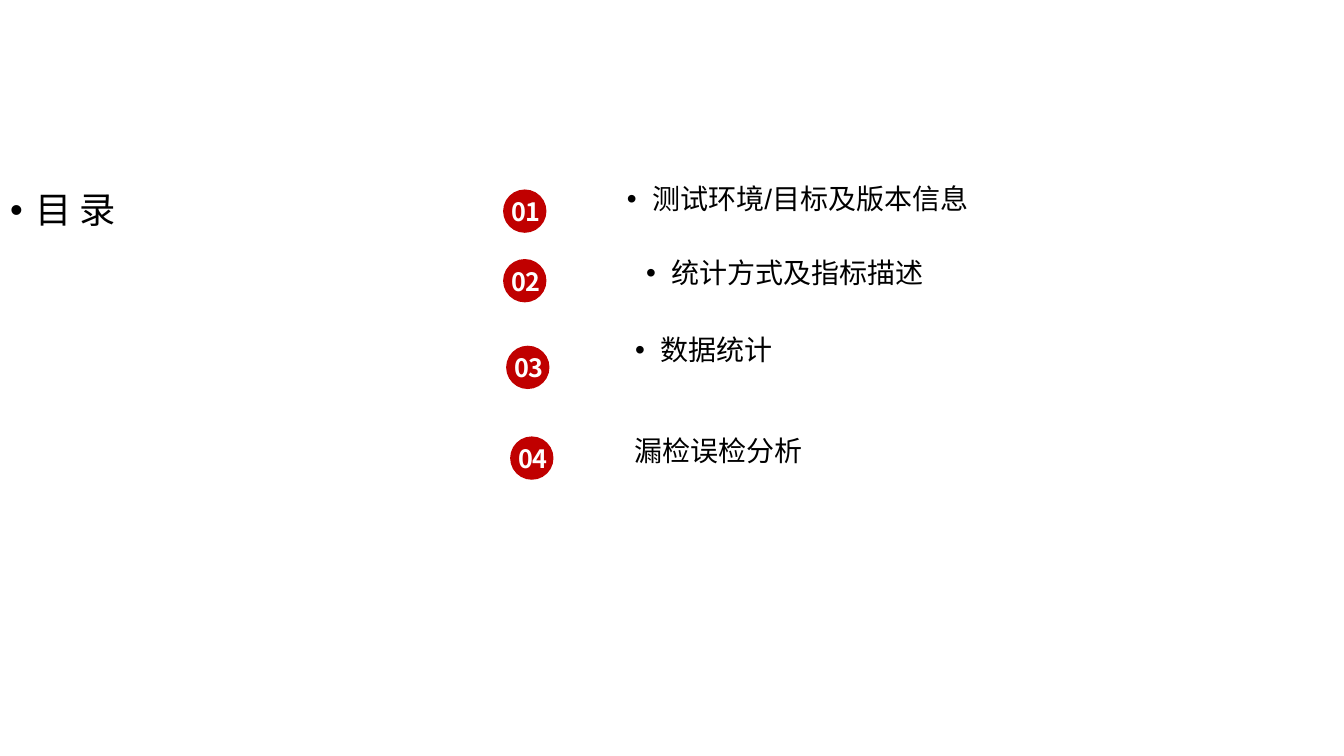
from dataclasses import dataclass

from lxml import etree
from pptx import Presentation
from pptx.dml.color import RGBColor
from pptx.enum.shapes import MSO_SHAPE
from pptx.enum.text import MSO_ANCHOR, MSO_AUTO_SIZE, PP_ALIGN
from pptx.oxml.ns import qn
from pptx.util import Inches, Pt

ELLIPSE = MSO_SHAPE.OVAL
TOP = MSO_ANCHOR.TOP
LEFT = PP_ALIGN.LEFT
NO_AUTOFIT = MSO_AUTO_SIZE.NONE
TITLE_ONLY_LAYOUT = 5


@dataclass(frozen=True)
class Theme:
    text: RGBColor = RGBColor(0x00, 0x00, 0x00)
    badge: RGBColor = RGBColor(0xC0, 0x00, 0x00)
    badge_text: RGBColor = RGBColor(0xFF, 0xFF, 0xFF)
    latin_font: str = "Arial"
    chinese_font: str = "Noto Sans CJK SC"
    title_size: float = 25.9
    topic_size: float = 20
    badge_size: float = 18


THEME = Theme()
BADGE_DIAMETER = 0.43

# Topic, its box (left, top, width, height), whether bulleted, badge (left, top)
TOPICS = [
    ("测试环境/目标及版本信息", (6.12, 1.79, 4.71, 0.53), True, (4.99, 1.88)),
    ("统计方式及指标描述", (6.31, 2.52, 3.19, 0.48), True, (4.99, 2.57)),
    ("数据统计", (6.2, 3.29, 4.71, 0.53), True, (5.02, 3.43)),
    ("漏检误检分析", (6.19, 4.29, 4.71, 0.53), False, (5.06, 4.33)),
]


def add_run(paragraph, text, size, color, font, bold=False):
    run = paragraph.add_run()
    run.text = text
    run.font.size = Pt(size)
    run.font.bold = bold
    run.font.color.rgb = color
    run.font.name = font
    east_asian = etree.Element(qn("a:ea"), typeface=THEME.chinese_font)
    run.font._element.find(qn("a:latin")).addnext(east_asian)


def add_bullet(paragraph):
    """Give the paragraph a round bullet with a quarter-inch hanging indent."""
    properties = paragraph._p.get_or_add_pPr()
    properties.set("marL", str(Inches(0.25)))
    properties.set("indent", str(-Inches(0.25)))
    etree.SubElement(properties, qn("a:buFont"), typeface="Arial")
    etree.SubElement(properties, qn("a:buChar"), char="•")


def prepare_frame(shape):
    """Set top-anchored wrapping text and return the first paragraph."""
    frame = shape.text_frame
    frame.word_wrap = True
    frame.auto_size = NO_AUTOFIT
    frame.vertical_anchor = TOP
    paragraph = frame.paragraphs[0]
    paragraph.alignment = LEFT
    return paragraph


def write_entry(shape, text, size, font, bulleted):
    paragraph = prepare_frame(shape)
    paragraph.line_spacing = 0.9
    paragraph.space_before = Pt(10)
    if bulleted:
        add_bullet(paragraph)
    add_run(paragraph, text, size, THEME.text, font)


def set_title(slide, text):
    title = slide.shapes.title
    title.left, title.top = Inches(0), Inches(1.86)
    title.width, title.height = Inches(1.42), Inches(0.53)
    write_entry(title, text, THEME.title_size, THEME.chinese_font, True)


def add_topic(slide, text, box, bulleted):
    shape = slide.shapes.add_textbox(*map(Inches, box))
    write_entry(shape, text, THEME.topic_size, THEME.latin_font, bulleted)


def add_badge(slide, number, left, top):
    group = slide.shapes.add_group_shape()
    diameter = Inches(BADGE_DIAMETER)
    circle = group.shapes.add_shape(
        ELLIPSE, Inches(left), Inches(top), diameter, diameter)
    circle.shadow.inherit = False
    circle.fill.solid()
    circle.fill.fore_color.rgb = THEME.badge
    circle.line.fill.background()
    label = group.shapes.add_textbox(
        Inches(left - 0.02), Inches(top + 0.02), Inches(0.75), Inches(0.4))
    add_run(prepare_frame(label), f"{number:02d}", THEME.badge_size,
            THEME.badge_text, THEME.chinese_font, bold=True)


def main():
    presentation = Presentation()
    presentation.slide_width = Inches(13.33)
    presentation.slide_height = Inches(7.5)
    layout = presentation.slide_layouts[TITLE_ONLY_LAYOUT]
    slide = presentation.slides.add_slide(layout)
    set_title(slide, "目 录")
    for number, (text, box, bulleted, badge) in enumerate(TOPICS, start=1):
        add_topic(slide, text, box, bulleted)
        add_badge(slide, number, *badge)
    presentation.save("out.pptx")


if __name__ == "__main__":
    main()
